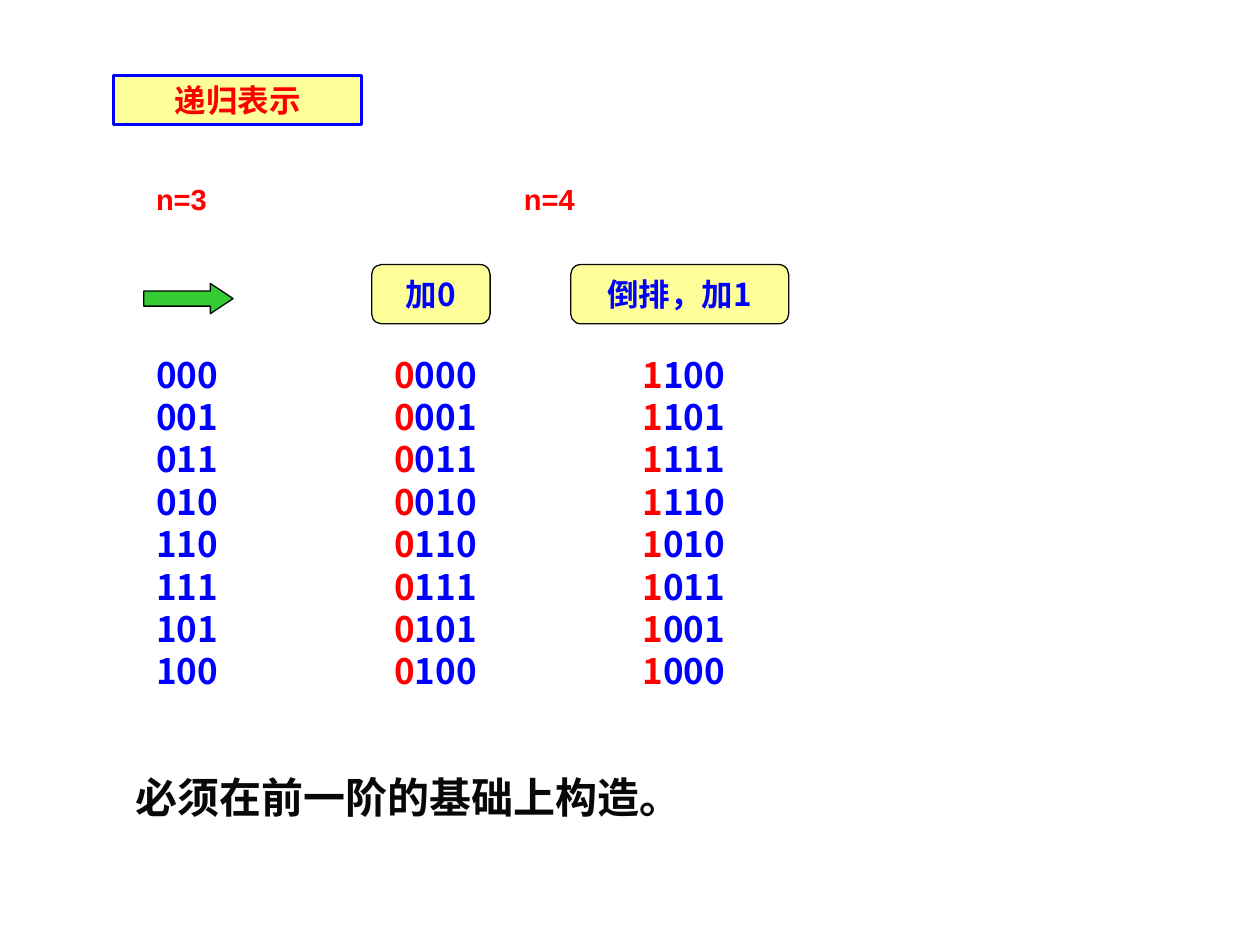
from lxml import etree
from pptx import Presentation
from pptx.dml.color import RGBColor
from pptx.enum.shapes import MSO_SHAPE
from pptx.enum.text import MSO_ANCHOR, MSO_AUTO_SIZE, PP_ALIGN
from pptx.oxml.ns import qn
from pptx.util import Inches, Pt

LABEL_SHAPE = MSO_SHAPE.FLOWCHART_ALTERNATE_PROCESS
ARROW_SHAPE = MSO_SHAPE.RIGHT_ARROW
MIDDLE = MSO_ANCHOR.MIDDLE
CENTER = PP_ALIGN.CENTER
NO_AUTOFIT = MSO_AUTO_SIZE.NONE

CJK_FONT, LATIN_FONT = "Noto Sans CJK SC", "Arial"
RED, BLUE, BLACK = "FF0000", "0000FF", "080808"
YELLOW, GREEN = "FFFF99", "33CC33"

TITLE = "递归表示"
CONCLUSION = "必须在前一阶的基础上构造。"
ORDER_HEADINGS = [("n=3", 1.14), ("n=4", 4.06)]
STEP_LABELS = [("加0", 2.95, 0.94), ("倒排，加1", 4.53, 1.73)]
CODES = ["000", "001", "011", "010", "110", "111", "101", "100"]
# left edge, added leading digit, codes
CODE_COLUMNS = [(1.14, "", CODES), (3.03, "0", CODES), (5.0, "1", CODES[::-1])]


def rgb(color):
    return RGBColor.from_string(color)


def style_paragraph(paragraph, font_name, size, color):
    font = paragraph.font
    font.name, font.size, font.bold = font_name, Pt(size), True
    font.color.rgb = rgb(color)
    etree.SubElement(font._rPr, qn("a:ea"), typeface=CJK_FONT)


def style_box(shape, fill, line, width):
    shape.fill.solid()
    shape.fill.fore_color.rgb = rgb(fill)
    shape.line.color.rgb = rgb(line)
    shape.line.width = Pt(width)


def add_block(slide, box, lines, font_name, size, color, spacing, gap=0):
    """Add a text box; each line is a (red prefix, rest) pair."""
    frame = slide.shapes.add_textbox(*map(Inches, box)).text_frame
    frame.word_wrap = True
    for index, (prefix, rest) in enumerate(lines):
        paragraph = frame.add_paragraph() if index else frame.paragraphs[0]
        paragraph.line_spacing = spacing
        if index:
            paragraph.space_before = Pt(gap)
        style_paragraph(paragraph, font_name, size, color)
        if prefix:
            run = paragraph.add_run()
            run.text = prefix
            run.font.color.rgb = rgb(RED)
        paragraph.add_run().text = rest


def fill_label(shape, text, font_name, color):
    frame = shape.text_frame
    frame.text = text
    frame.word_wrap = False
    frame.auto_size = NO_AUTOFIT
    frame.vertical_anchor = MIDDLE
    paragraph = frame.paragraphs[0]
    paragraph.alignment = CENTER
    style_paragraph(paragraph, font_name, 18, color)


def add_shape(slide, kind, box, fill):
    shape = slide.shapes.add_shape(kind, *map(Inches, box))
    shape.shadow.inherit = False
    style_box(shape, fill, BLACK, 0.75)
    return shape


def main():
    presentation = Presentation()
    presentation.slide_width, presentation.slide_height = Inches(10), Inches(7.5)
    slide = presentation.slides.add_slide(presentation.slide_layouts[5])

    title = slide.shapes.title
    title.left, title.top = Inches(0.9), Inches(0.6)
    title.width, title.height = Inches(1.97), Inches(0.39)
    style_box(title, YELLOW, BLUE, 1.5)
    fill_label(title, TITLE, LATIN_FONT, RED)

    for text, left in ORDER_HEADINGS:
        add_block(slide, (left, 1.47, 1.1, 0.31), [("", text)],
                  LATIN_FONT, 16.6, RED, 0.7)

    for left, prefix, codes in CODE_COLUMNS:
        add_block(slide, (left, 2.81, 1.1, 2.91), [(prefix, code) for code in codes],
                  CJK_FONT, 20, BLUE, Pt(20), 4.2)

    for text, left, width in STEP_LABELS:
        label = add_shape(slide, LABEL_SHAPE, (left, 2.1, width, 0.47), YELLOW)
        fill_label(label, text, CJK_FONT, BLUE)

    add_block(slide, (0.98, 6.11, 4.88, 0.55), [("", CONCLUSION)],
              CJK_FONT, 24, BLACK, Pt(26))

    arrow = add_shape(slide, ARROW_SHAPE, (1.14, 2.25, 0.71, 0.24), GREEN)
    arrow.adjustments[0], arrow.adjustments[1] = 0.5, 0.75

    presentation.save("out.pptx")


if __name__ == "__main__":
    main()
